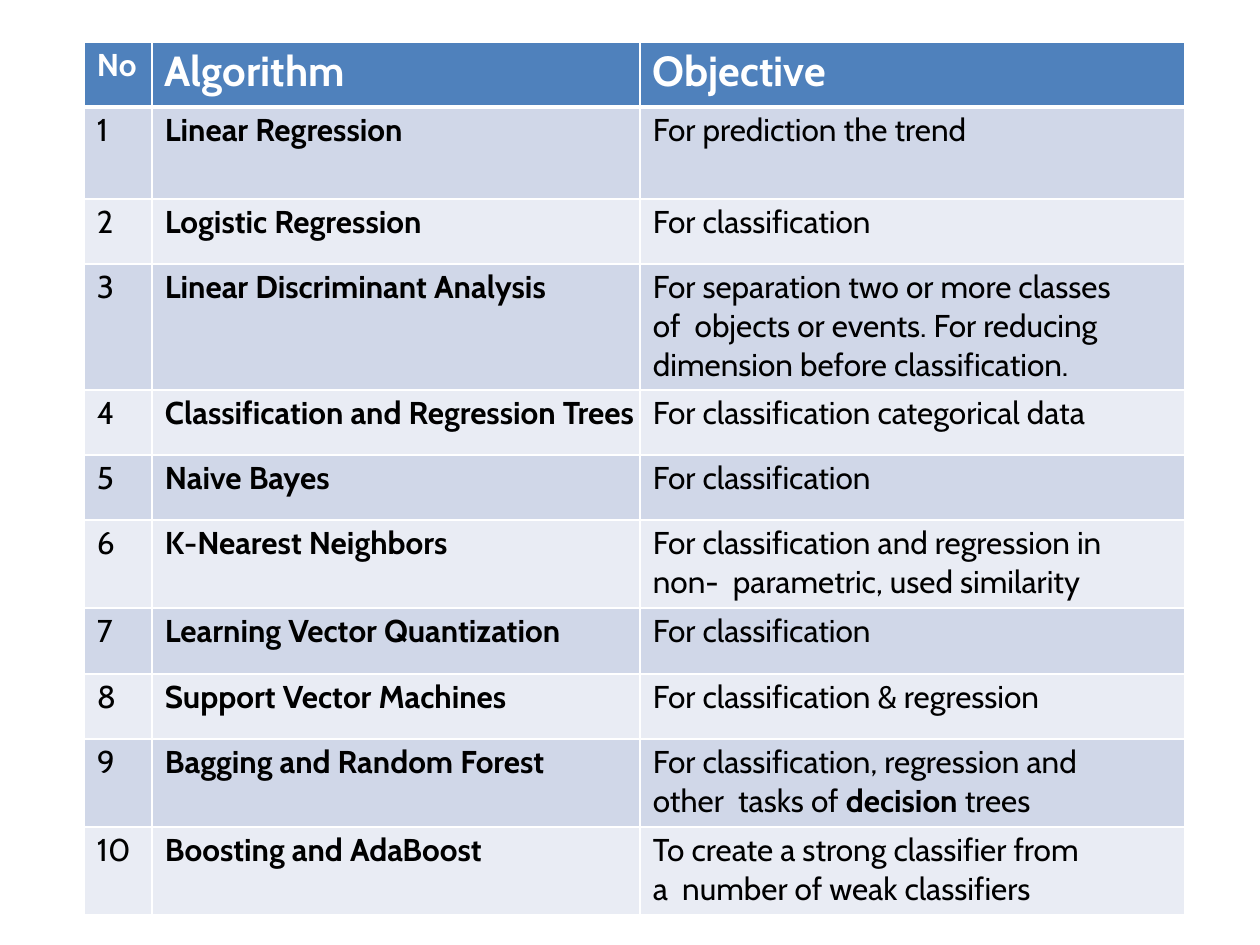
from dataclasses import dataclass

from lxml import etree
from pptx import Presentation
from pptx.dml.color import RGBColor
from pptx.oxml.ns import qn
from pptx.util import Emu, Pt

PX_PER_INCH = 126
FONT = "Cabin"
WHITE, BLACK = "FFFFFF", "000000"
HEADER_FILL = "4F81BC"
BAND_FILLS = ("E9ECF4", "D0D7E8")
LEFT, TOP = 84, 42
COLUMN_WIDTHS = (68, 488, 545)
HEADER_HEIGHT = 65
TEXT_INDENT, TEXT_TOP = 13, 4


@dataclass
class Algorithm:
    name: str
    objective: str
    height: int = 65
    right_indent: int = 0
    emphasis: str = ""


@dataclass
class CellStyle:
    fill: str
    color: str
    size: int = 18
    bold: bool = False
    right_indent: int = 0
    line_spacing: float = 1.0
    top_border: int = 1
    bottom_border: int = 1


ALGORITHMS = (
    Algorithm("Linear Regression", "For prediction the trend", 92),
    Algorithm("Logistic Regression", "For classification"),
    Algorithm("Linear Discriminant Analysis",
              "For separation two or more classes of  objects or events. "
              "For reducing  dimension before classification.", 126, 55),
    Algorithm("Classification and Regression Trees",
              "For classification categorical data"),
    Algorithm("Naive Bayes", "For classification"),
    Algorithm("K-Nearest Neighbors",
              "For classification and regression in non-  parametric, used similarity",
              88, 55),
    Algorithm("Learning Vector Quantization", "For classification", 66),
    Algorithm("Support Vector Machines", "For classification & regression"),
    Algorithm("Bagging and Random Forest",
              "For classification, regression and other  tasks of decision trees",
              88, 55, "decision "),
    Algorithm("Boosting and AdaBoost",
              "To create a strong classifier from a  number of weak classifiers",
              88, 99),
)


def px(length: int) -> Emu:
    return Emu(round(length * 914400 / PX_PER_INCH))


def rgb(value: str) -> RGBColor:
    return RGBColor.from_string(value)


def add_borders(cell, style: CellStyle) -> None:
    properties = cell._tc.get_or_add_tcPr()
    widths = {"a:lnL": 1, "a:lnR": 1,
              "a:lnT": style.top_border, "a:lnB": style.bottom_border}
    for side, width in widths.items():
        line = etree.SubElement(properties, qn(side), w=str(Pt(width)))
        fill = etree.SubElement(line, qn("a:solidFill"))
        etree.SubElement(fill, qn("a:srgbClr"), val=WHITE)


def fill_cell(cell, text: str, style: CellStyle, emphasis: str = "") -> None:
    add_borders(cell, style)
    cell.fill.solid()
    cell.fill.fore_color.rgb = rgb(style.fill)
    cell.margin_left, cell.margin_top = px(TEXT_INDENT), px(TEXT_TOP)
    cell.margin_right, cell.margin_bottom = px(style.right_indent), 0
    paragraph = cell.text_frame.paragraphs[0]
    paragraph.space_before = Pt(2.4)
    paragraph.line_spacing = style.line_spacing
    before, strong, after = text.partition(emphasis) if emphasis else (text, "", "")
    for part in filter(None, (before, strong, after)):
        run = paragraph.add_run()
        run.text = part
        run.font.name = FONT
        run.font.size = Pt(style.size)
        run.font.bold = style.bold or part == strong
        run.font.color.rgb = rgb(style.color)


def add_algorithm_table(slide) -> None:
    heights = [HEADER_HEIGHT] + [algorithm.height for algorithm in ALGORITHMS]
    table = slide.shapes.add_table(
        len(heights), len(COLUMN_WIDTHS), px(LEFT), px(TOP),
        px(sum(COLUMN_WIDTHS)), px(sum(heights))).table
    for column, width in zip(table.columns, COLUMN_WIDTHS):
        column.width = px(width)
    for row, height in zip(table.rows, heights):
        row.height = px(height)

    headings = (("No", 18), ("Algorithm", 24), ("Objective", 24))
    for column, (heading, size) in enumerate(headings):
        fill_cell(table.cell(0, column), heading,
                  CellStyle(HEADER_FILL, WHITE, size, True, bottom_border=3))

    for number, algorithm in enumerate(ALGORITHMS, 1):
        fill = BAND_FILLS[number % 2]
        top_border = 3 if number == 1 else 1
        plain = CellStyle(fill, BLACK, top_border=top_border)
        strong = CellStyle(fill, BLACK, bold=True, top_border=top_border)
        wrapped = CellStyle(fill, BLACK, right_indent=algorithm.right_indent,
                            line_spacing=1.01 if algorithm.right_indent else 1.0,
                            top_border=top_border)
        fill_cell(table.cell(number, 0), str(number), plain)
        fill_cell(table.cell(number, 1), algorithm.name, strong)
        fill_cell(table.cell(number, 2), algorithm.objective, wrapped,
                  algorithm.emphasis)


def main() -> None:
    presentation = Presentation()
    presentation.slide_width, presentation.slide_height = px(1260), px(945)
    slide = presentation.slides.add_slide(presentation.slide_layouts[6])
    add_algorithm_table(slide)
    presentation.save("out.pptx")


if __name__ == "__main__":
    main()
